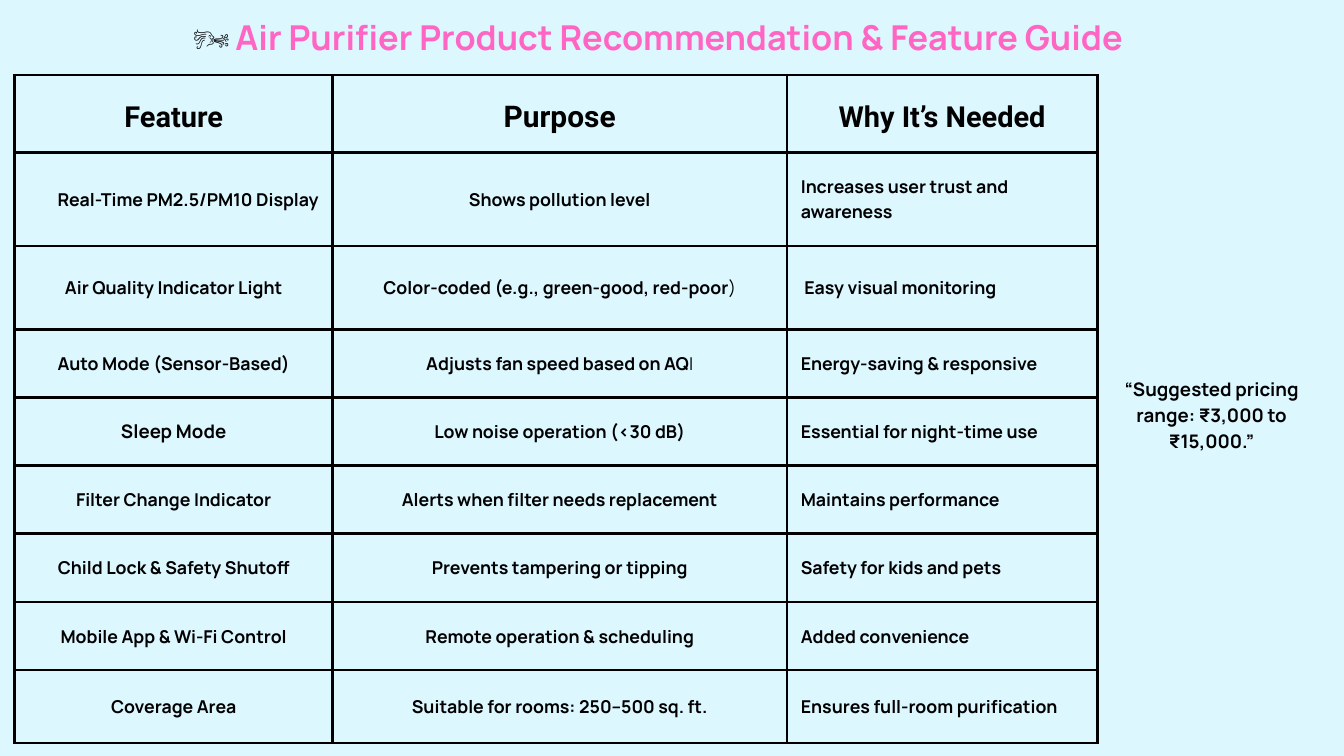
import pptx
import pptx.util
import pptx.dml.color
import pptx.enum.text
import pptx.oxml.ns
import lxml.etree

Pt = pptx.util.Pt
RGBColor = pptx.dml.color.RGBColor
ALIGN = pptx.enum.text.PP_ALIGN
ANCHOR = pptx.enum.text.MSO_ANCHOR
qn = pptx.oxml.ns.qn

SKY = RGBColor(0xDD, 0xF7, 0xFF)
BLACK = RGBColor(0, 0, 0)
PINK = RGBColor(0xFF, 0x66, 0xC4)

COLUMN_WIDTHS = (340.6, 486.7, 332.6)
ROW_HEIGHTS = (82.8, 100, 89.5, 73, 73, 73, 73, 73, 78.5)
HEADINGS = (("Feature", 31), ("Purpose", 32), ("Why It’s Needed", 31))
FEATURES = (
    ("Real-Time PM2.5/PM10 Display", "Shows pollution level", "Increases user trust and awareness"),
    ("Air Quality Indicator Light", "Color-coded (e.g., green-good, red-poor)", " Easy visual monitoring"),
    ("Auto Mode (Sensor-Based)", "Adjusts fan speed based on AQI", "Energy-saving & responsive"),
    ("Sleep Mode", "Low noise operation (<30 dB)", "Essential for night-time use"),
    ("Filter Change Indicator", "Alerts when filter needs replacement", "Maintains performance"),
    ("Child Lock & Safety Shutoff", "Prevents tampering or tipping", "Safety for kids and pets"),
    ("Mobile App & Wi-Fi Control", "Remote operation & scheduling", "Added convenience"),
    ("Coverage Area", "Suitable for rooms: 250–500 sq. ft.", "Ensures full-room purification"),
)
COLUMN_ALIGNS = (ALIGN.CENTER, ALIGN.CENTER, ALIGN.LEFT)
LIGHT_ENDINGS = ("red-poor)", "AQI")


def add_text(paragraph, text, size=19, font="Manrope", color=BLACK, bold=True,
             align=ALIGN.CENTER):
    paragraph.alignment = align
    paragraph.line_spacing = Pt(round(size * 1.4, 1))
    run = paragraph.add_run()
    run.text = text
    run.font.size = Pt(size)
    run.font.name = font
    run.font.bold = bold
    run.font.color.rgb = color


class GuideSlide:
    border = BLACK
    border_width = 3
    cell_inset = 15

    def __init__(self, presentation):
        self.slide = presentation.slides.add_slide(presentation.slide_layouts[6])
        self.slide.background.fill.solid()
        self.slide.background.fill.fore_color.rgb = SKY

    def text_box(self, left, top, width, height):
        frame = self.slide.shapes.add_textbox(Pt(left), Pt(top), Pt(width), Pt(height)).text_frame
        frame.word_wrap = True
        frame.margin_left = frame.margin_right = frame.margin_top = frame.margin_bottom = 0
        frame.auto_size = pptx.enum.text.MSO_AUTO_SIZE.SHAPE_TO_FIT_TEXT
        return frame.paragraphs[0]

    def table(self, left, top, widths, heights):
        table = self.slide.shapes.add_table(
            len(heights), len(widths), Pt(left), Pt(top), Pt(sum(widths)), Pt(sum(heights))).table
        table.first_row = table.horz_banding = False
        for column, width in zip(table.columns, widths):
            column.width = Pt(width)
        for row, height in zip(table.rows, heights):
            row.height = Pt(height)
        for cell in table.iter_cells():
            self.style_cell(cell)
        return table

    def style_cell(self, cell):
        inset = Pt(self.cell_inset)
        cell.margin_left = cell.margin_right = cell.margin_top = cell.margin_bottom = inset
        cell.vertical_anchor = ANCHOR.MIDDLE
        properties = cell._tc.get_or_add_tcPr()
        for side in ("a:lnL", "a:lnR", "a:lnT", "a:lnB"):
            line = lxml.etree.SubElement(properties, qn(side), w=str(Pt(self.border_width)))
            fill = lxml.etree.SubElement(line, qn("a:solidFill"))
            lxml.etree.SubElement(fill, qn("a:srgbClr"), val=str(self.border))
        cell.fill.background()


def main():
    presentation = pptx.Presentation()
    presentation.slide_width = Pt(1440)
    presentation.slide_height = Pt(810)
    guide = GuideSlide(presentation)

    features = guide.table(15.8, 80.6, COLUMN_WIDTHS, ROW_HEIGHTS)
    for column, (heading, size) in enumerate(HEADINGS):
        add_text(features.cell(0, column).text_frame.paragraphs[0], heading,
                 size=size, font="Roboto")
    for row, entries in enumerate(FEATURES, start=1):
        for column, entry in enumerate(entries):
            paragraph = features.cell(row, column).text_frame.paragraphs[0]
            align = ALIGN.RIGHT if (row, column) == (1, 0) else COLUMN_ALIGNS[column]
            size = 20 if entry == "Sleep Mode" else 19
            if entry.endswith(LIGHT_ENDINGS):
                add_text(paragraph, entry[:-1], size=size, align=align)
                add_text(paragraph, entry[-1], size=size, align=align, bold=False)
            else:
                add_text(paragraph, entry, size=size, align=align)

    title = guide.text_box(15.8, 10, 1380, 52)
    add_text(title, "🌬️", size=36.7)
    add_text(title, " Air Purifier Product Recommendation & Feature Guide", size=36.7, color=PINK)

    pricing = guide.text_box(1175.8, 400.3, 244.8, 83.5)
    add_text(pricing, "“Suggested pricing range: ₹3,000 to ₹15,000.”", size=20)

    presentation.save("out.pptx")


if __name__ == "__main__":
    main()
